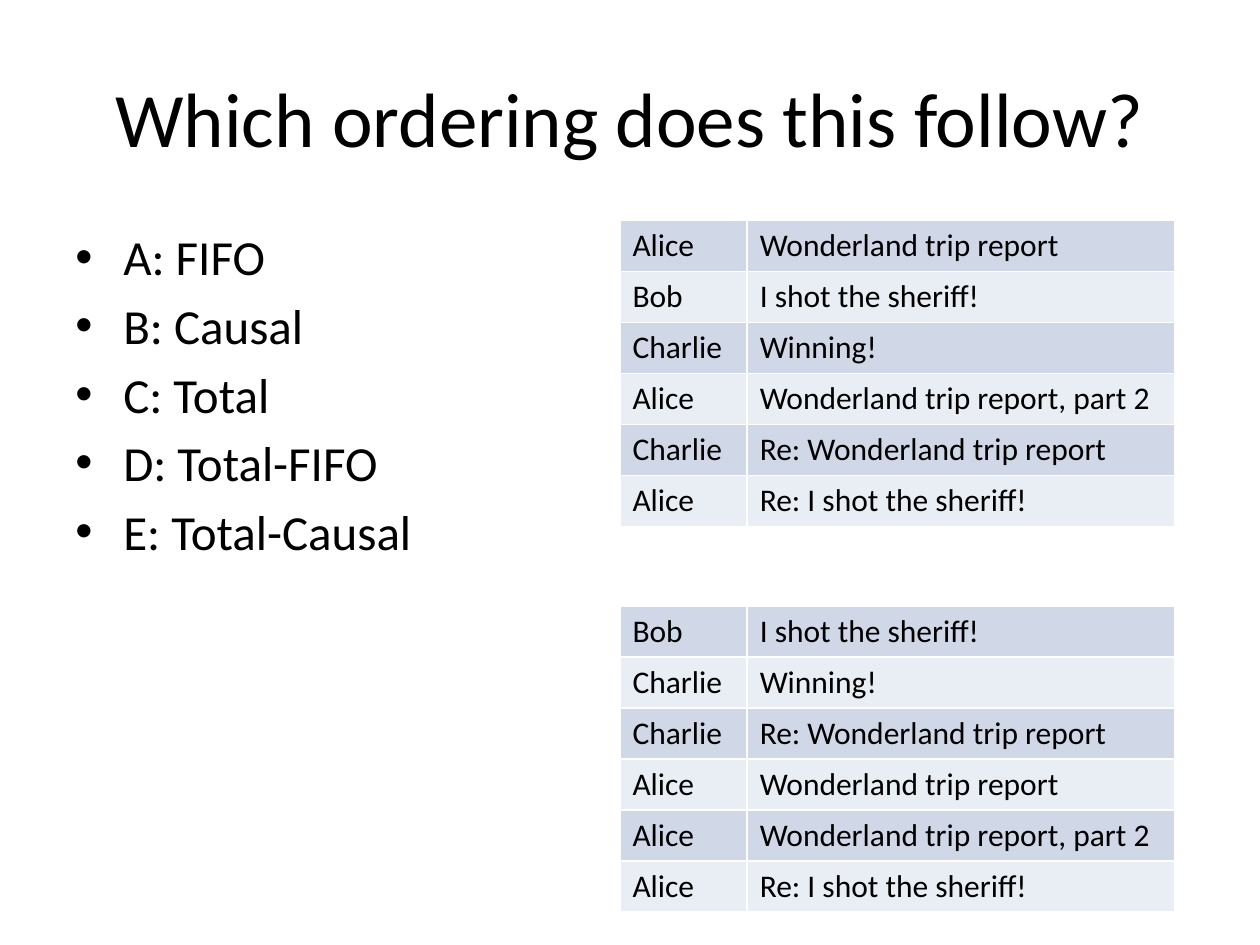
from lxml import etree
from pptx import Presentation
from pptx.dml.color import RGBColor
from pptx.enum.text import MSO_ANCHOR, PP_ALIGN
from pptx.oxml.ns import qn
from pptx.util import Inches, Pt

CENTER = PP_ALIGN.CENTER
LEFT = PP_ALIGN.LEFT
MIDDLE = MSO_ANCHOR.MIDDLE
FONT = "Calibri"
BLACK = "000000"
WHITE = "FFFFFF"
BANDS = ("D0D8E8", "E9EDF4")
MARGIN = 0.5
CONTENT_TOP = 1.75
TABLE_LEFT = 4.92
TABLE_GAP = 0.63
COLUMNS = (1.01, 3.39)
ROW_HEIGHT = 0.405

OPTIONS = ["A: FIFO", "B: Causal", "C: Total", "D: Total-FIFO", "E: Total-Causal"]
TRIP = ("Alice", "Wonderland trip report")
TRIP_2 = ("Alice", "Wonderland trip report, part 2")
RE_TRIP = ("Charlie", "Re: Wonderland trip report")
SHERIFF = ("Bob", "I shot the sheriff!")
RE_SHERIFF = ("Alice", "Re: I shot the sheriff!")
WINNING = ("Charlie", "Winning!")
FEEDS = [
    [TRIP, SHERIFF, WINNING, TRIP_2, RE_TRIP, RE_SHERIFF],
    [SHERIFF, WINNING, RE_TRIP, TRIP, TRIP_2, RE_SHERIFF],
]


def rgb(value):
    """Turn a hex string into a colour."""
    return RGBColor.from_string(value)


def write(p, text, size=18, color=BLACK, align=LEFT):
    """Put formatted text into a paragraph."""
    r = p.add_run()
    r.text = text
    r.font.name = FONT
    r.font.size = Pt(size)
    r.font.color.rgb = rgb(color)
    p.alignment = align


def add_bullet(p, indent=0.38):
    """Give a paragraph a round bullet with a hanging indent."""
    pPr = p._p.get_or_add_pPr()
    pPr.set("marL", str(Inches(indent)))
    pPr.set("indent", str(-Inches(indent)))
    etree.SubElement(pPr, qn("a:buFont"), typeface="Arial")
    etree.SubElement(pPr, qn("a:buChar"), char="•")


def set_title(s, text):
    """Place and fill the title placeholder."""
    sp = s.shapes.title
    sp.left, sp.top = Inches(MARGIN), Inches(0.3)
    sp.width, sp.height = Inches(10 - 2 * MARGIN), Inches(1.25)
    sp.text_frame.vertical_anchor = MIDDLE
    write(sp.text_frame.paragraphs[0], text, size=44, align=CENTER)


def add_bullets(s, items, size=28):
    """Add the list of answers on the left."""
    width = TABLE_LEFT - MARGIN
    sp = s.shapes.add_textbox(Inches(MARGIN), Inches(CONTENT_TOP), Inches(width), Inches(4.95))
    tf = sp.text_frame
    tf.word_wrap = True
    for i, item in enumerate(items):
        p = tf.add_paragraph() if i else tf.paragraphs[0]
        add_bullet(p)
        if i:
            p.space_before = Pt(size * 0.2)
        write(p, item, size=size)


def style_cell(cell, fill):
    """Set the borders and fill of a cell."""
    tcPr = cell._tc.get_or_add_tcPr()
    for side in ("lnL", "lnR", "lnT", "lnB"):
        ln = etree.SubElement(tcPr, qn(f"a:{side}"), w=str(Pt(1)))
        solid = etree.SubElement(ln, qn("a:solidFill"))
        etree.SubElement(solid, qn("a:srgbClr"), val=WHITE)
    cell.fill.solid()
    cell.fill.fore_color.rgb = rgb(fill)


def add_feed(s, messages, top):
    """Add a banded table of senders and subjects."""
    frame = s.shapes.add_table(
        len(messages), len(COLUMNS), Inches(TABLE_LEFT), Inches(top),
        Inches(sum(COLUMNS)), Inches(ROW_HEIGHT * len(messages)))
    table = frame.table
    table.first_row = False
    for column, width in zip(table.columns, COLUMNS):
        column.width = Inches(width)
    for i, message in enumerate(messages):
        table.rows[i].height = Inches(ROW_HEIGHT)
        for j, text in enumerate(message):
            cell = table.cell(i, j)
            style_cell(cell, BANDS[i % 2])
            write(cell.text_frame.paragraphs[0], text)


def main():
    """Build and save the slide."""
    prs = Presentation()
    prs.slide_width, prs.slide_height = Inches(10), Inches(7.5)
    s = prs.slides.add_slide(prs.slide_layouts[5])
    set_title(s, "Which ordering does this follow?")
    add_bullets(s, OPTIONS)
    for i, feed in enumerate(FEEDS):
        add_feed(s, feed, CONTENT_TOP + i * (ROW_HEIGHT * len(feed) + TABLE_GAP))
    prs.save("out.pptx")


if __name__ == "__main__":
    main()
